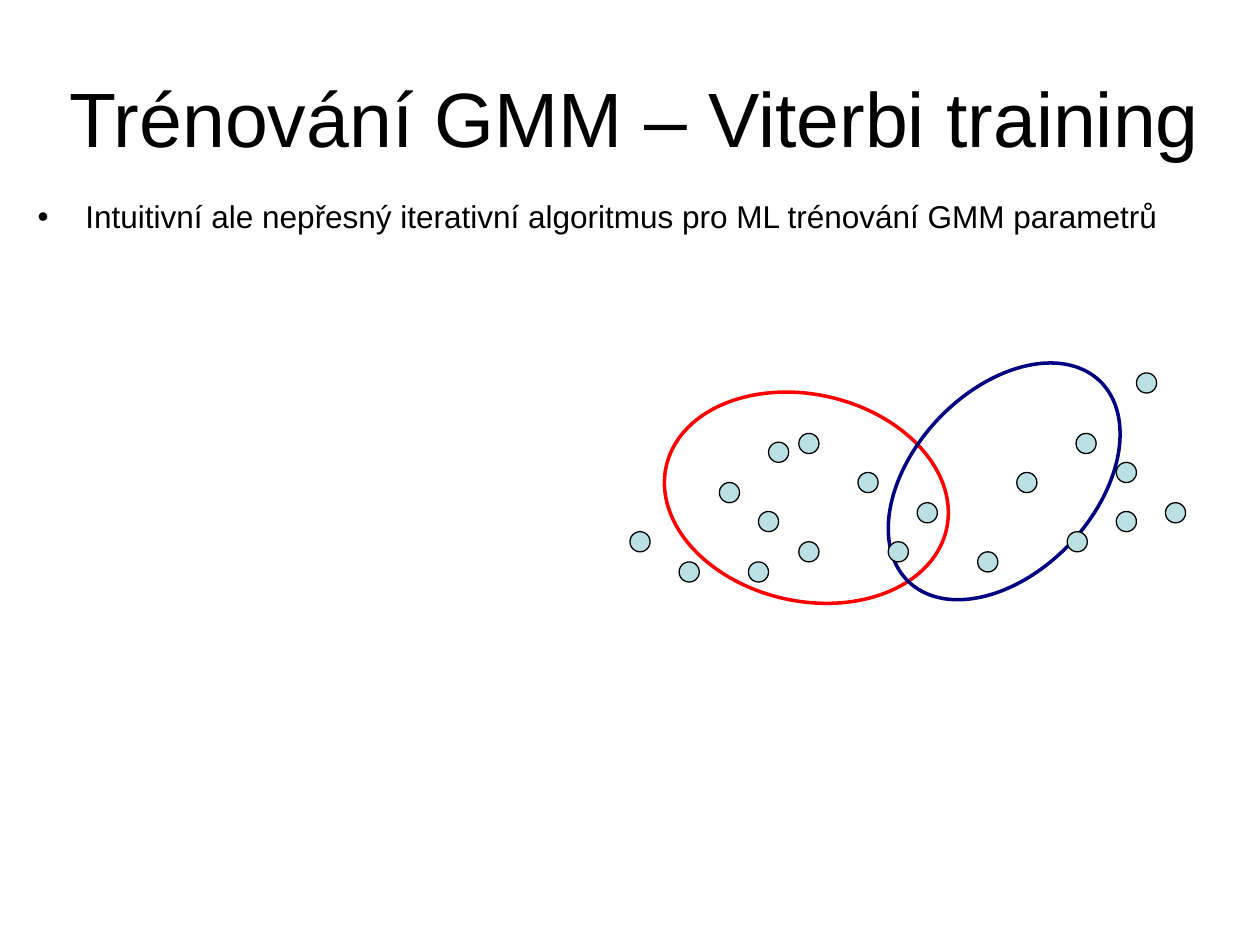
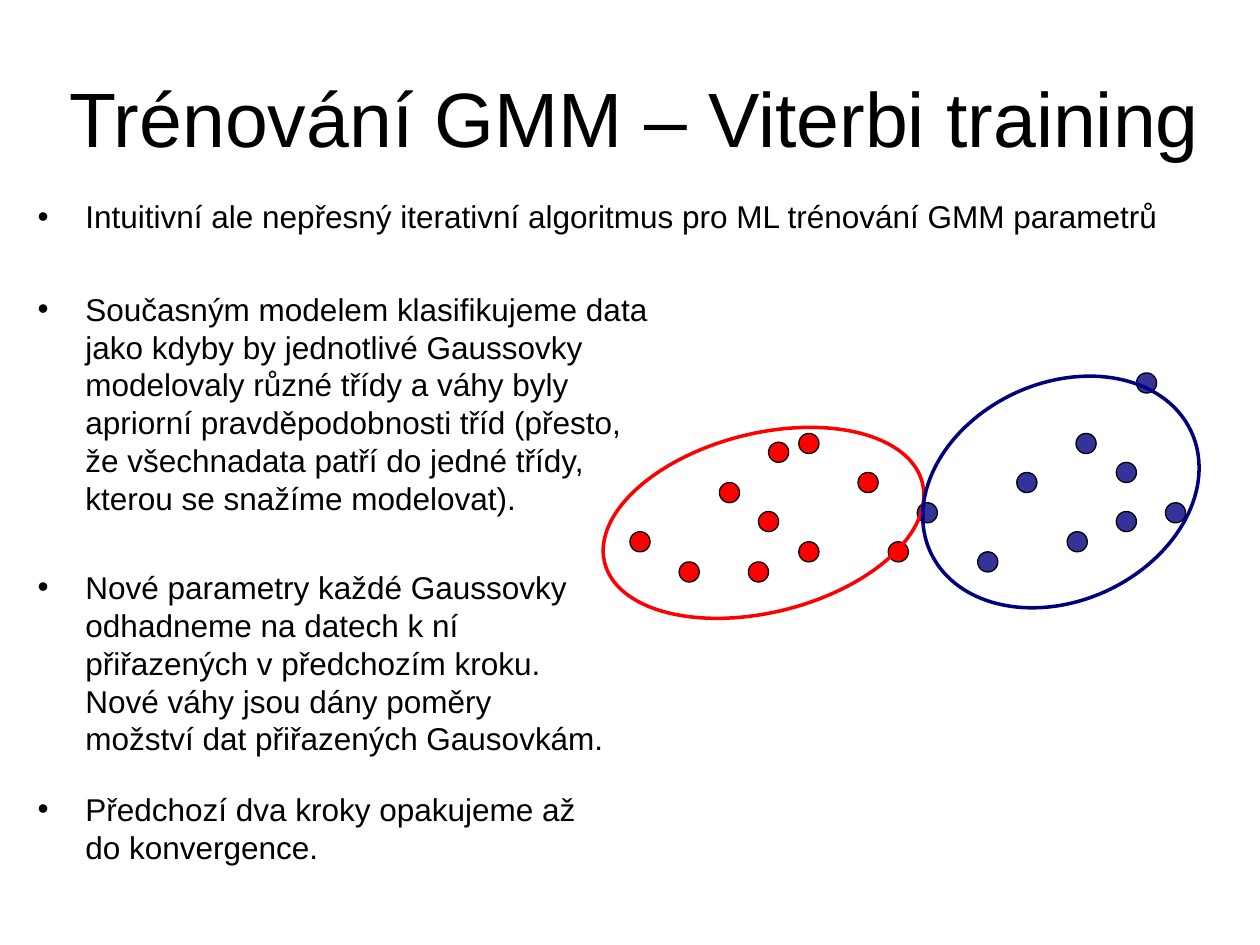
"""Build two slides on Viterbi training of Gaussian mixtures."""
from pptx import Presentation
from pptx.dml.color import RGBColor as Rgb
from pptx.enum.shapes import MSO_SHAPE as Shape
from pptx.enum.text import MSO_ANCHOR as Anchor, PP_ALIGN as Align
from pptx.oxml.ns import qn
from pptx.util import Pt
from lxml.etree import SubElement as Sub

PX = 9144
HUES = {"ink": "000000", "pale": "BBE0E3", "red": "FF0000",
        "blue": "333399", "navy": "000080"}
HEAD = {"size": Pt(44), "name": "Arial"}
BODY = {"size": Pt(18), "name": "Arial"}
DOT = 16
INDENT = 38
SPLIT = 715

TITLE = "Trénování GMM – Viterbi training"
INTRO = "Intuitivní ale nepřesný iterativní algoritmus pro ML trénování GMM parametrů"
STEPS = [
    ((20, 225, 512, 192),
     "Současným modelem klasifikujeme data jako kdyby by jednotlivé Gaussovky "
     "modelovaly různé třídy a váhy byly apriorní pravděpodobnosti tříd (přesto, "
     "že všechnadata patří do jedné třídy, kterou se snažíme modelovat)."),
    ((20, 446, 472, 162),
     "Nové parametry každé Gaussovky odhadneme na datech k ní přiřazených v "
     "předchozím kroku. Nové váhy jsou dány poměry možství dat přiřazených "
     "Gausovkám."),
    ((20, 622, 457, 71), "Předchozí dva kroky opakujeme až do konvergence."),
]
DOTS = [(602, 406), (925, 399), (634, 344), (500, 422), (705, 430),
        (681, 375), (728, 399), (539, 446), (776, 438), (902, 296),
        (847, 422), (807, 375), (886, 406), (571, 383), (594, 446),
        (610, 351), (886, 367), (854, 344), (634, 430)]
START = [((526, 313, 228, 164), 12.7, "red"),
         ((687, 310, 220, 144), 313.5, "navy")]
FIT = [((476, 344, 260, 142), 345.9, "red"),
       ((728, 304, 228, 173), 335.2, "navy")]


def write(slide, box, text, style, bullet=True, lead=1.0):
    frame = slide.shapes.add_textbox(*(n * PX for n in box)).text_frame
    frame.word_wrap = True
    para = frame.paragraphs[0]
    para.line_spacing = lead
    if bullet:
        props = para._p.get_or_add_pPr()
        props.set("marL", str(INDENT * PX))
        props.set("indent", str(-INDENT * PX))
        Sub(props, qn("a:buFont"), typeface="Arial")
        Sub(props, qn("a:buChar"), char="•")
    else:
        para.alignment = Align.CENTER
        frame.vertical_anchor = Anchor.MIDDLE
    run = para.add_run()
    run.text = text
    for key, value in style.items():
        setattr(run.font, key, value)
    run.font.color.rgb = Rgb.from_string(HUES["ink"])


def oval(slide, box, line, width, fill=None, turn=0):
    shape = slide.shapes.add_shape(Shape.OVAL, *(n * PX for n in box))
    shape.shadow.inherit = False
    shape.rotation = turn
    shape.line.color.rgb = Rgb.from_string(HUES[line])
    shape.line.width = Pt(width)
    if fill:
        shape.fill.solid()
        shape.fill.fore_color.rgb = Rgb.from_string(HUES[fill])
    else:
        shape.fill.background()


deck = Presentation()
deck.slide_width, deck.slide_height = 1000 * PX, 750 * PX
slides = [deck.slides.add_slide(deck.slide_layouts[6]) for _ in range(2)]
first, second = slides

for slide in slides:
    write(slide, (33, 30, 942, 125), TITLE, HEAD, bullet=False)
    write(slide, (20, 155, 921, 43), INTRO, BODY, lead=0.9)

for box, turn, hue in START:
    oval(first, box, hue, 2, turn=turn)

for x, y in DOTS:
    box = (x, y, DOT, DOT)
    oval(first, box, "ink", 0.75, "pale")
    oval(second, box, "ink", 0.75, "red" if x < SPLIT else "blue")

for box, turn, hue in FIT:
    oval(second, box, hue, 2, turn=turn)

for box, text in STEPS:
    write(second, box, text, BODY)

deck.save("out.pptx")
